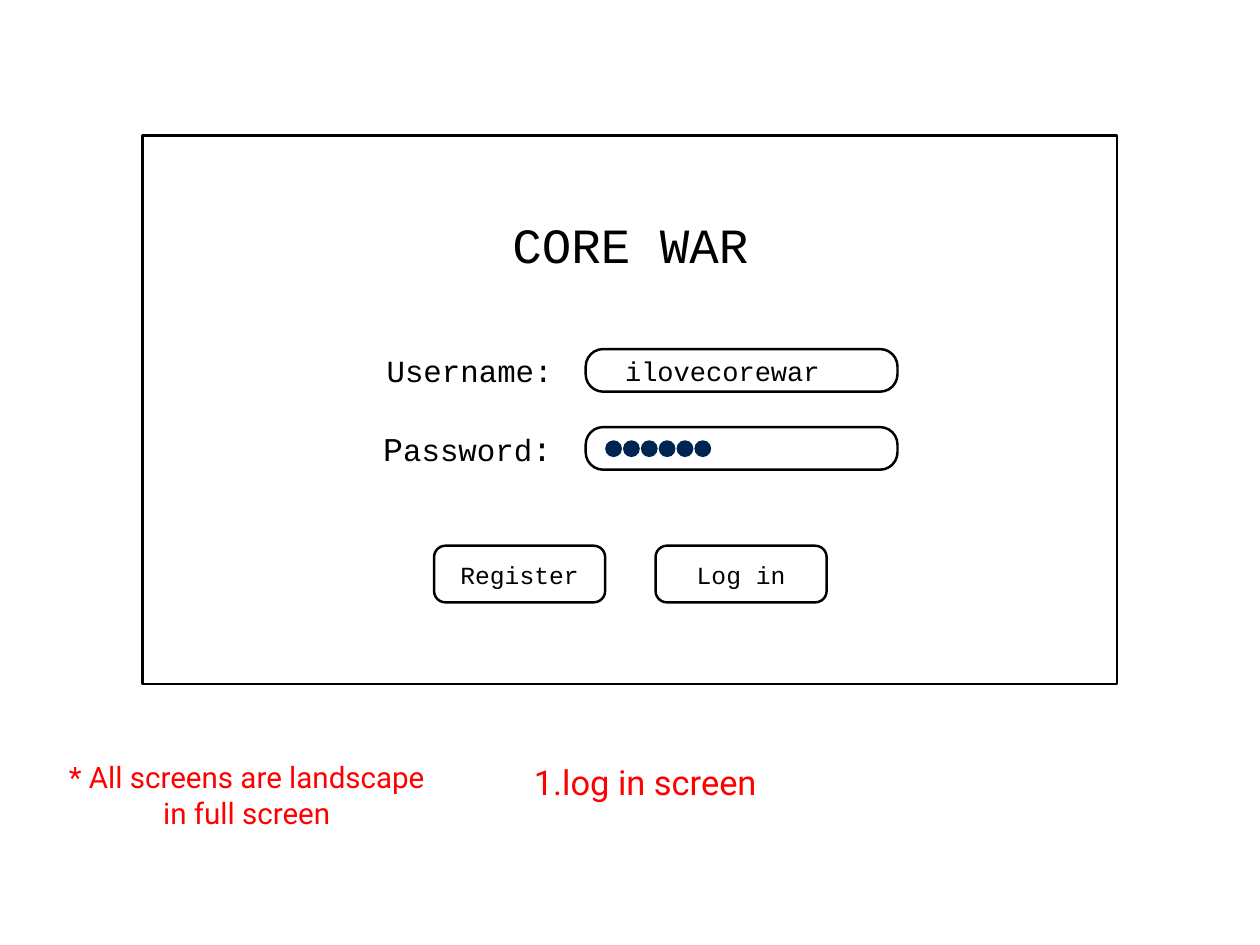
from dataclasses import dataclass

import pptx
import pptx.dml.color
import pptx.enum.shapes
import pptx.enum.text
import pptx.util

Pt = pptx.util.Pt
RGBColor = pptx.dml.color.RGBColor
MSO_SHAPE = pptx.enum.shapes.MSO_SHAPE
PP_ALIGN = pptx.enum.text.PP_ALIGN

BLACK = RGBColor(0x00, 0x00, 0x00)
RED = RGBColor(0xFF, 0x00, 0x00)
NAVY = RGBColor(0x00, 0x24, 0x52)
MONO = "Courier New"
SANS = "Roboto"

FIELD_LEFT, FIELD_TOP, FIELD_PITCH = 476, 283.7, 63.4
FIELD_SIZE = (253.4, 34.6)
BUTTON_LEFT, BUTTON_TOP, BUTTON_PITCH = 352.8, 443.5, 180
BUTTON_SIZE = (139, 46)
BUTTON_LABEL_TOP, BUTTON_LABEL_HEIGHT = 452.9, 28
DOT_COUNT, DOT_LEFT, DOT_TOP, DOT_SIZE, DOT_PITCH = 6, 491.8, 357.8, 13.7, 14.5


@dataclass
class Box:
    left: float
    top: float
    width: float
    height: float

    def lengths(self) -> tuple:
        return Pt(self.left), Pt(self.top), Pt(self.width), Pt(self.height)


@dataclass
class Label:
    box: Box
    lines: list  # each line is a list of (text, size) runs
    font: str = MONO
    color: RGBColor = BLACK
    wrap: bool = False
    alignment: PP_ALIGN = PP_ALIGN.CENTER


@dataclass
class Button:
    text: str
    label_width: float


LABELS = [
    Label(Box(41, 612.7, 319, 66.2),
          [[("* All screens are landscape", 24)], [("in full screen", 24)]],
          SANS, RED, True),
    Label(Box(392.4, 174.2, 239.8, 48.2), [[("CORE WAR", 40)]]),
    Label(Box(295.9, 284.4, 171.4, 33.1), [[("Username:", 25)]]),
    Label(Box(293, 347, 174.2, 34.6), [[("P", 27), ("assword", 25), (":", 27)]]),
    Label(Box(487.4, 286.6, 199.4, 29.5), [[("ilovecorewar", 22)]]),
]
CAPTION = Label(Box(429.8, 614.2, 195.8, 41.8), [[("1.log in screen", 28)]],
                SANS, RED, True, PP_ALIGN.LEFT)
BUTTONS = [Button("Register", 124.6), Button("Log in", 95.8)]


def apply(target: object, values: dict) -> None:
    for name, value in values.items():
        setattr(target, name, value)


def write_label(shape: object, label: Label) -> None:
    """Place a text shape and fill it with the label's formatted runs."""
    frame = shape.text_frame
    apply(frame, {
        "word_wrap": label.wrap,
        "auto_size": pptx.enum.text.MSO_AUTO_SIZE.SHAPE_TO_FIT_TEXT,
        "vertical_anchor": pptx.enum.text.MSO_ANCHOR.MIDDLE,
        "margin_left": Pt(4), "margin_right": Pt(4),
        "margin_top": Pt(4), "margin_bottom": Pt(4),
    })
    for index, line in enumerate(label.lines):
        paragraph = frame.add_paragraph() if index else frame.paragraphs[0]
        paragraph.alignment = label.alignment
        for text, size in line:
            run = paragraph.add_run()
            run.text = text
            apply(run.font, {"name": label.font, "size": Pt(size)})
            run.font.color.rgb = label.color
    apply(shape, dict(zip(("left", "top", "width", "height"), label.box.lengths())))


def add_label(shapes: object, label: Label) -> None:
    write_label(shapes.add_textbox(*label.box.lengths()), label)


def add_outline(shapes: object, kind: MSO_SHAPE, box: Box, rounding: float = 0) -> None:
    shape = shapes.add_shape(kind, *box.lengths())
    shape.shadow.inherit = False
    shape.fill.background()
    shape.line.color.rgb = BLACK
    shape.line.width = Pt(2)
    if rounding:
        shape.adjustments[0] = rounding


def add_button(shapes: object, button: Button, left: float) -> None:
    group = shapes.add_group_shape()
    width, height = BUTTON_SIZE
    add_outline(group.shapes, MSO_SHAPE.ROUNDED_RECTANGLE,
                Box(left, BUTTON_TOP, width, height), 0.2)
    label_left = left + (width - button.label_width) / 2
    label_box = Box(label_left, BUTTON_LABEL_TOP, button.label_width, BUTTON_LABEL_HEIGHT)
    add_label(group.shapes, Label(label_box, [[(button.text, 20)]]))


def add_password_dots(shapes: object) -> None:
    group = shapes.add_group_shape()
    for index in range(DOT_COUNT):
        box = Box(DOT_LEFT + index * DOT_PITCH, DOT_TOP, DOT_SIZE, DOT_SIZE)
        dot = group.shapes.add_shape(MSO_SHAPE.OVAL, *box.lengths())
        dot.shadow.inherit = False
        dot.fill.solid()
        dot.fill.fore_color.rgb = NAVY
        dot.line.fill.background()


def main() -> None:
    presentation = pptx.Presentation()
    apply(presentation, {"slide_width": Pt(1024), "slide_height": Pt(768)})
    slide = presentation.slides.add_slide(presentation.slide_layouts[5])
    shapes = slide.shapes

    write_label(shapes.title, CAPTION)
    add_outline(shapes, MSO_SHAPE.RECTANGLE, Box(116, 110, 792, 446))
    for row in range(2):
        add_outline(shapes, MSO_SHAPE.ROUNDED_RECTANGLE,
                    Box(FIELD_LEFT, FIELD_TOP + row * FIELD_PITCH, *FIELD_SIZE), 0.41)
    for label in LABELS:
        add_label(shapes, label)
    for index, button in enumerate(BUTTONS):
        add_button(shapes, button, BUTTON_LEFT + index * BUTTON_PITCH)
    add_password_dots(shapes)

    presentation.save("out.pptx")


if __name__ == "__main__":
    main()
